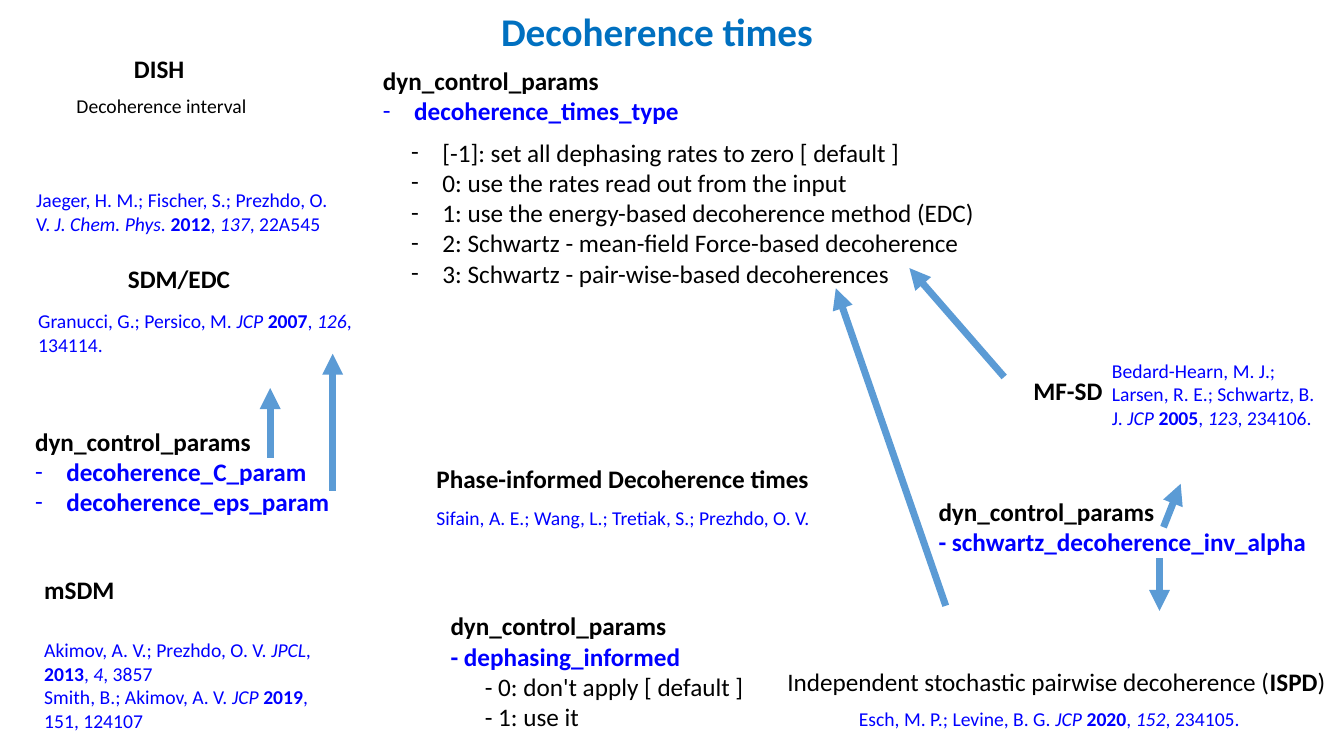
from dataclasses import dataclass

from lxml import etree
from pptx import Presentation
from pptx.dml.color import RGBColor
from pptx.enum import shapes, text
from pptx.oxml.ns import qn
from pptx.util import Inches, Pt


@dataclass(frozen=True)
class Theme:
    font: str = "Calibri"
    black: str = "000000"
    blue: str = "0000FF"
    title: str = "0070C0"
    arrow: str = "5B9BD5"
    title_size: int = 28
    body_size: int = 18
    citation_size: int = 14
    arrow_width: int = 5
    bullet_indent: float = 0.31
    option_indent: float = 0.34


THEME = Theme()

# Paragraph styles: size, colour, bold, layout
STYLES = {
    "title": (THEME.title_size, THEME.title, True, "centre"),
    "heading": (THEME.body_size, THEME.black, True, "plain"),
    "parameter": (THEME.body_size, THEME.blue, True, "plain"),
    "bullet parameter": (THEME.body_size, THEME.blue, True, "bullet"),
    "body": (THEME.body_size, THEME.black, False, "plain"),
    "bullet": (THEME.body_size, THEME.black, False, "bullet"),
    "option": (THEME.body_size, THEME.black, False, "indent"),
    "note": (THEME.citation_size, THEME.black, False, "plain"),
    "citation": (THEME.citation_size, THEME.blue, False, "plain"),
}


def cite(authors, journal, year, volume, page):
    """Spans of a reference: italic journal and volume, bold year."""
    return ("citation", [(authors + " ", ""), (journal + " ", "i"), (year, "b"),
                         (", ", ""), (volume, "i"), (f", {page}", "")])


PARAMS = ("heading", "dyn_control_params")

# Text boxes: (left, top, width, height), wrap, paragraphs as (style, text or spans)
BOXES = [
    # Title
    ((4.21, 0.02, 4.61, 0.57), True, [("title", "Decoherence times")]),
    # DISH
    ((1.23, 0.48, 0.71, 0.4), False, [("heading", "DISH")]),
    ((0.66, 0.88, 1.91, 0.34), False, [("note", "Decoherence interval")]),
    ((0.26, 1.82, 3.18, 0.57), True,
     [cite("Jaeger, H. M.; Fischer, S.; Prezhdo, O. V.", "J. Chem. Phys.", "2012", "137", "22A545")]),
    # SDM/EDC
    ((1.17, 2.56, 1.56, 0.4), True, [("heading", "SDM/EDC")]),
    ((0.28, 3.02, 3.62, 0.57), True,
     [cite("Granucci, G.; Persico, M.", "JCP", "2007", "126", "134114.")]),
    ((0.25, 4.18, 3.53, 1.01), True,
     [PARAMS, ("bullet parameter", "decoherence_C_param"),
      ("bullet parameter", "decoherence_eps_param")]),
    # mSDM
    ((0.34, 5.65, 0.91, 0.4), False, [("heading", "mSDM")]),
    ((0.34, 6.28, 3.18, 1.04), True,
     [cite("Akimov, A. V.; Prezhdo, O. V.", "JPCL,", "2013", "4", "3857"),
      ("citation", [("Smith, B.; Akimov, A. V.", ""), (" JCP ", "i"), ("2019", "b"),
                    (", 151, 124107", "")])]),
    # Types of decoherence times
    ((3.7, 0.6, 3.48, 0.71), True, [PARAMS, ("bullet parameter", "decoherence_times_type")]),
    ((3.98, 1.31, 6.1, 1.62), False,
     [("bullet", "[-1]: set all dephasing rates to zero [ default ]"),
      ("bullet", "0: use the rates read out from the input"),
      ("bullet", "1: use the energy-based decoherence method (EDC)"),
      ("bullet", "2: Schwartz - mean-field Force-based decoherence"),
      ("bullet", "3: Schwartz - pair-wise-based decoherences")]),
    # Phase-informed times
    ((4.23, 4.55, 3.92, 0.4), False, [("heading", "Phase-informed Decoherence times")]),
    ((4.23, 4.97, 3.99, 0.34), True,
     [("citation", "Sifain, A. E.; Wang, L.; Tretiak, S.; Prezhdo, O. V.")]),
    ((4.37, 6.01, 3.2, 1.31), True,
     [PARAMS, ("parameter", "- dephasing_informed"),
      ("option", "- 0: don't apply [ default ]"), ("option", "- 1: use it")]),
    # MF-SD
    ((10.15, 3.67, 0.89, 0.4), False, [("heading", "MF-SD")]),
    ((10.93, 3.51, 2.26, 0.81), True,
     [cite("Bedard-Hearn, M. J.; Larsen, R. E.; Schwartz, B. J.", "JCP", "2005", "123", "234106.")]),
    ((9.21, 4.87, 3.92, 0.71), True, [PARAMS, ("parameter", "- schwartz_decoherence_inv_alpha")]),
    # ISPD
    ((7.71, 6.56, 5.59, 0.4), False,
     [("body", [("Independent stochastic pairwise decoherence (", ""), ("ISPD", "b"), (")", "")])]),
    ((8.42, 6.96, 4.71, 0.34), True,
     [cite("Esch, M. P.; Levine, B. G.", "JCP", "2020", "152", "234105.")]),
]

# Arrows: tail point, head point
ARROWS = [
    ((2.68, 4.54), (2.68, 3.85)),
    ((3.3, 4.87), (3.3, 3.51)),
    ((9.96, 3.74), (9.02, 2.66)),
    ((9.38, 6.01), (8.29, 2.86)),
    ((11.54, 5.23), (11.71, 4.8)),
    ((11.5, 5.54), (11.5, 6.06)),
]


def set_layout(para, layout):
    if layout == "centre":
        para.alignment = text.PP_ALIGN.CENTER
        return
    properties = para._p.get_or_add_pPr()
    if layout == "bullet":
        properties.set("marL", str(Inches(THEME.bullet_indent)))
        properties.set("indent", str(-Inches(THEME.bullet_indent)))
        etree.SubElement(properties, qn("a:buFont")).set("typeface", THEME.font)
        etree.SubElement(properties, qn("a:buChar")).set("char", "-")
    elif layout == "indent":
        properties.set("marL", str(Inches(THEME.option_indent)))


def add_text(page, bounds, wrap, paragraphs):
    box = page.shapes.add_textbox(*map(Inches, bounds))
    frame = box.text_frame
    frame.word_wrap = wrap
    frame.auto_size = text.MSO_AUTO_SIZE.SHAPE_TO_FIT_TEXT
    for number, (style, content) in enumerate(paragraphs):
        para = frame.add_paragraph() if number else frame.paragraphs[0]
        size, colour, bold, layout = STYLES[style]
        set_layout(para, layout)
        spans = [(content, "")] if isinstance(content, str) else content
        for words, flag in spans:
            span = para.add_run()
            span.text = words
            span.font.name = THEME.font
            span.font.size = Pt(size)
            span.font.color.rgb = RGBColor.from_string(colour)
            span.font.bold = bold or flag == "b"
            span.font.italic = flag == "i"


def add_arrow(page, start, end):
    arrow = page.shapes.add_connector(
        shapes.MSO_CONNECTOR.STRAIGHT, *map(Inches, start + end))
    arrow.line.color.rgb = RGBColor.from_string(THEME.arrow)
    arrow.line.width = Pt(THEME.arrow_width)
    etree.SubElement(arrow.line._get_or_add_ln(), qn("a:tailEnd")).set("type", "triangle")
    etree.SubElement(arrow._element.spPr, qn("a:effectLst"))


def main():
    deck = Presentation()
    deck.slide_width, deck.slide_height = Inches(13.33), Inches(7.5)
    page = deck.slides.add_slide(deck.slide_layouts[6])
    for box in BOXES:
        add_text(page, *box)
    for arrow in ARROWS:
        add_arrow(page, *arrow)
    deck.save("out.pptx")


if __name__ == "__main__":
    main()
